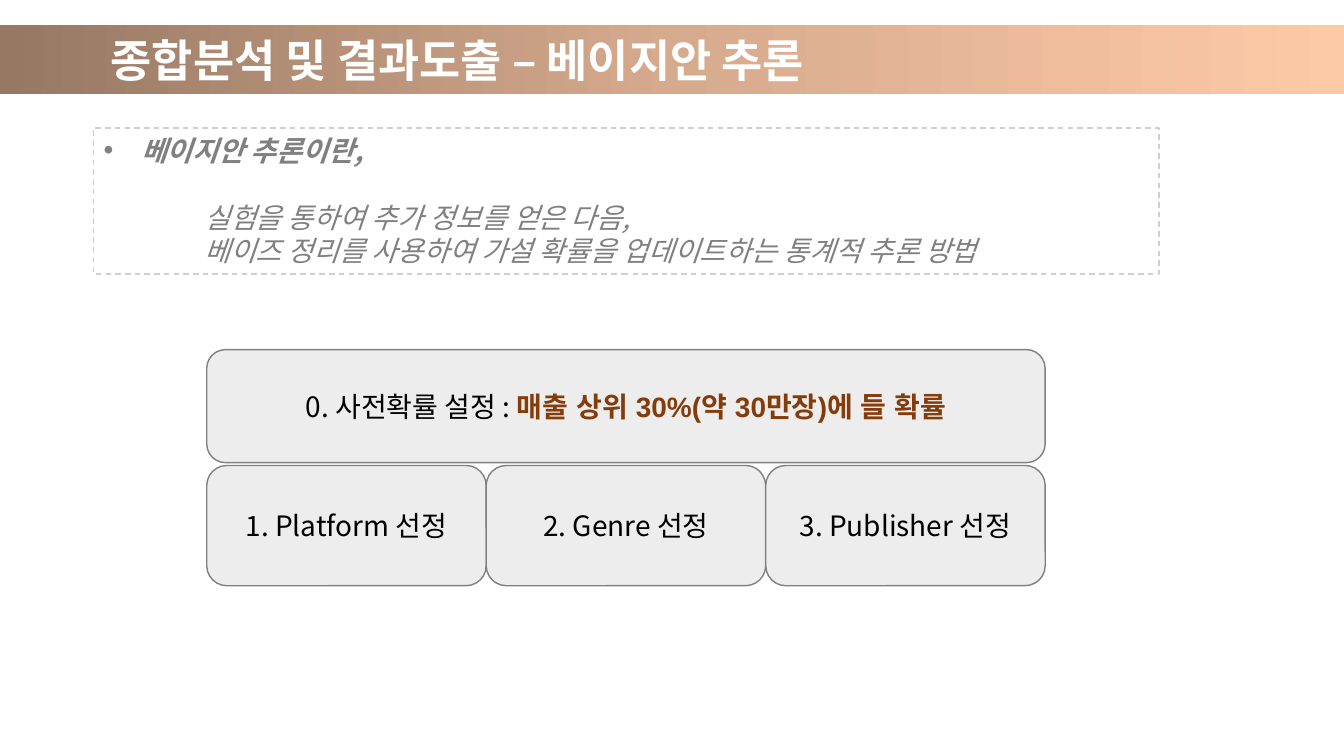
from copy import deepcopy

from lxml import etree
from pptx import Presentation
from pptx import util as u
from pptx.dml import color
from pptx.enum import dml, shapes, text
from pptx.oxml import ns

Cm, Pt = u.Cm, u.Pt
HUES = {
    "white": "FFFFFF", "black": "000000", "gray": "808080",
    "pale": "EDEDED", "dash": "D0CECE", "brown": "843C0B",
    "dark": "967863", "mid": "D6AA8D", "light": "FDCAA7",
}
SANS = "Noto Sans CJK KR"


def hue(name):
    return color.RGBColor.from_string(HUES[name])


def style(font, tint, size=20, face=SANS, bold=False, slant=False):
    font.size, font.bold, font.italic = Pt(size), bold, slant
    font.color.rgb = hue(tint)
    font.name = face
    # East Asian letters take the same face
    etree.SubElement(font._rPr, ns.qn("a:ea"), typeface=face)


def block(slide, kind, box, fill=None, line=None):
    item = slide.shapes.add_shape(kind, *(Cm(n) for n in box))
    item.shadow.inherit = False
    if fill:
        item.fill.solid()
        item.fill.fore_color.rgb = hue(fill)
    else:
        item.fill.background()
    if line:
        item.line.color.rgb = hue(line)
        item.line.width = Pt(1)
    else:
        item.line.fill.background()
    item.text_frame.word_wrap = True
    return item


def indent(para, left, first=0):
    props = para._p.get_or_add_pPr()
    props.set("marL", str(Cm(left)))
    props.set("indent", str(Cm(first)))
    return props


def banner(slide, box, title):
    bar = block(slide, shapes.MSO_SHAPE.RECTANGLE, box)
    # Three-stop gradient, left to right
    bar.fill.gradient()
    bar.fill.gradient_angle = 0
    first = bar.fill.gradient_stops[0]._gs
    first.addnext(deepcopy(first))
    for stop, name, pos in zip(bar.fill.gradient_stops,
                               ("dark", "mid", "light"), (0, 0.5, 1)):
        stop.color.rgb = hue(name)
        stop.position = pos
    bar.text_frame.vertical_anchor = text.MSO_ANCHOR.MIDDLE
    para = bar.text_frame.paragraphs[0]
    para.text = title
    para.alignment = text.PP_ALIGN.LEFT
    indent(para, 2.54)
    style(para.font, "white", 32, bold=True)


def intro(slide, box, head, lines):
    note = block(slide, shapes.MSO_SHAPE.RECTANGLE, box, line="dash")
    note.line.dash_style = dml.MSO_LINE.DASH
    frame = note.text_frame
    frame.vertical_anchor = text.MSO_ANCHOR.TOP
    for i, words in enumerate([head, *lines]):
        para = frame.add_paragraph() if i else frame.paragraphs[0]
        para.text = words
        para.alignment = text.PP_ALIGN.LEFT
        if i == 1:
            para.space_before = Pt(24)
        if i:
            indent(para, 2.54)
        else:
            props = indent(para, 0.95, -0.95)
            etree.SubElement(props, ns.qn("a:buFont"), typeface="Arial")
            etree.SubElement(props, ns.qn("a:buChar"), char="•")
        style(para.font, "gray", bold=i == 0, slant=True)


def card(slide, box):
    item = block(slide, shapes.MSO_SHAPE.ROUNDED_RECTANGLE, box, "pale", "gray")
    item.text_frame.vertical_anchor = text.MSO_ANCHOR.MIDDLE
    para = item.text_frame.paragraphs[0]
    para.alignment = text.PP_ALIGN.CENTER
    return para


def steps(slide, box, prior, goal, names):
    left, top, width, high = box
    # Prior probability across the full width
    para = card(slide, (left, top, width, 2.85))
    for words, look in ((prior, {"tint": "black"}),
                        (goal, {"tint": "brown", "face": "Arial", "bold": True})):
        run = para.add_run()
        run.text = words
        style(run.font, **look)
    # Equal cards below
    wide = width / len(names)
    for i, name in enumerate(names):
        para = card(slide, (left + i * wide, top + 2.92, wide, high - 2.92))
        para.text = f"{i + 1}. {name} 선정"
        style(para.font, "black")


def main():
    deck = Presentation()
    deck.slide_width, deck.slide_height = Cm(33.87), Cm(19.05)
    slide = deck.slides.add_slide(deck.slide_layouts[6])
    banner(slide, (0, 0.62, 33.87, 1.75), "종합분석 및 결과도출 – 베이지안 추론")
    intro(slide, (2.36, 3.23, 26.85, 3.68), "베이지안 추론이란,", [
        "실험을 통하여 추가 정보를 얻은 다음,",
        "베이즈 정리를 사용하여 가설 확률을 업데이트하는 통계적 추론 방법",
    ])
    steps(slide, (5.21, 8.81, 21.13, 5.95), "0. 사전확률 설정 : ",
          "매출 상위 30%(약 30만장)에 들 확률",
          ["Platform", "Genre", "Publisher"])
    deck.save("out.pptx")


if __name__ == "__main__":
    main()
